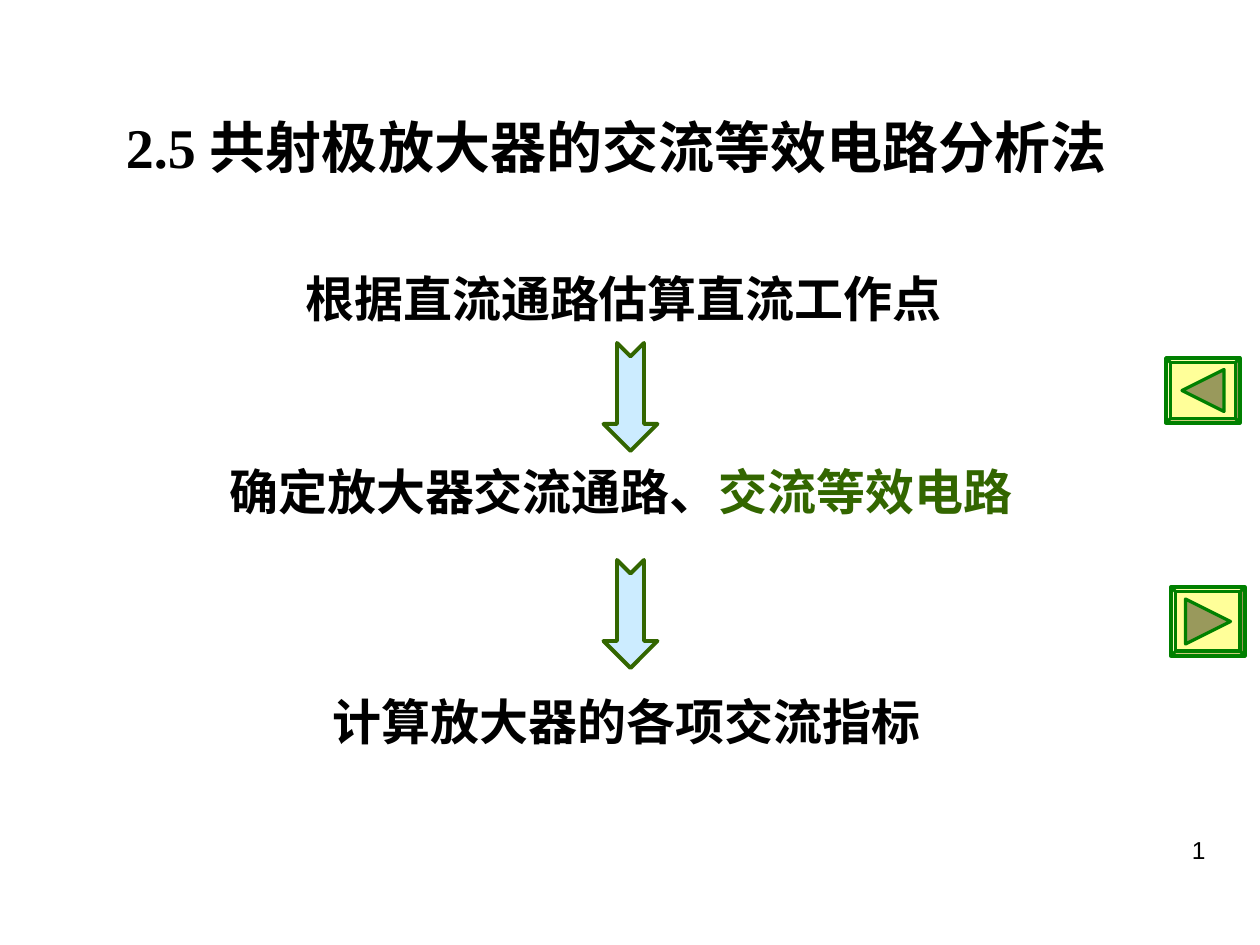
from pptx import Presentation
from pptx.dml.color import RGBColor
from pptx.enum.shapes import MSO_SHAPE
from pptx.enum.text import MSO_ANCHOR, MSO_AUTO_SIZE, PP_ALIGN
from pptx.util import Emu, Pt

EMU_PER_PX = 914400 / 126
BLACK = RGBColor(0x00, 0x00, 0x00)
DARK_GREEN = RGBColor(0x33, 0x66, 0x00)
PALE_BLUE = RGBColor(0xCC, 0xEC, 0xFF)
BUTTON_GREEN = RGBColor(0x00, 0x80, 0x00)
BUTTON_YELLOW = RGBColor(0xFF, 0xFF, 0x99)
BUTTON_OLIVE = RGBColor(0x99, 0x99, 0x5C)


def px(length):
    """Turn pixels into EMU."""
    return Emu(round(length * EMU_PER_PX))


def style_font(paragraph, name, size, bold=False):
    """Set the font that all runs of a paragraph share."""
    font = paragraph.font
    font.name, font.size, font.bold = name, Pt(size), bold
    font.color.rgb = BLACK


def add_outlined(page, kind, box, fill, line, weight, rotation=0):
    """Add a preset whose upright or quarter-turned outline fills the box."""
    left, top, width, height = box
    if rotation % 180:
        left, top = left + (width - height) / 2, top + (height - width) / 2
        width, height = height, width
    shape = page.shapes.add_shape(kind, px(left), px(top), px(width), px(height))
    shape.rotation = rotation
    shape.shadow.inherit = False
    shape.fill.solid()
    shape.fill.fore_color.rgb = fill
    shape.line.color.rgb = line
    shape.line.width = Pt(weight)
    return shape


def place_title(page, box, text):
    """Place and format the section title on one line."""
    title = page.shapes.title
    title.left, title.top, title.width, title.height = map(px, box)
    frame = title.text_frame
    frame.text = text
    frame.word_wrap = False
    frame.auto_size = MSO_AUTO_SIZE.NONE
    frame.vertical_anchor = MSO_ANCHOR.TOP
    frame.margin_left = frame.margin_right = 0
    paragraph = frame.paragraphs[0]
    paragraph.alignment = PP_ALIGN.CENTER
    paragraph.line_spacing = 1.3
    style_font(paragraph, "Times New Roman", 32, True)


def add_text(page, box, parts, alignment, name, size, bold=False):
    """Add one line of text made of (text, colour) parts."""
    frame = page.shapes.add_textbox(*map(px, box)).text_frame
    frame.word_wrap = True
    paragraph = frame.paragraphs[0]
    paragraph.alignment = alignment
    style_font(paragraph, name, size, bold)
    for text, colour in parts:
        span = paragraph.add_run()
        span.text = text
        if colour != BLACK:
            span.font.color.rgb = colour


def add_steps(page, box):
    """Add the three analysis steps and the arrows between them."""
    left, top, width, height = box
    center = left + width / 2
    steps = [
        (0, 675, [("根据直流通路估算直流工作点", BLACK)]),
        (193, 827, [("确定放大器交流通路、", BLACK), ("交流等效电路", DARK_GREEN)]),
        (423, 620, [("计算放大器的各项交流指标", BLACK)]),
    ]
    for offset, step_width, parts in steps:
        step_box = (center - step_width / 2, top + offset, step_width, 72)
        add_text(page, step_box, parts, PP_ALIGN.JUSTIFY, "Times New Roman", 28, True)
    for offset in (81, 298):
        add_outlined(page, MSO_SHAPE.NOTCHED_RIGHT_ARROW, (center - 27, top + offset, 54, 108),
                     PALE_BLUE, DARK_GREEN, 2.25, 90)


def add_button(page, box, rotation):
    """Add a bevelled navigation button with a triangle turned to its side."""
    left, top, width, height = box
    frame = add_outlined(page, MSO_SHAPE.BEVEL, box, BUTTON_YELLOW, BUTTON_GREEN, 1.87)
    frame.adjustments[0] = 0.07
    side = round(height * 0.65)
    triangle_box = (left + (width - side) / 2, top + (height - side) / 2, side, side)
    add_outlined(page, MSO_SHAPE.ISOSCELES_TRIANGLE, triangle_box,
                 BUTTON_OLIVE, BUTTON_GREEN, 1.87, rotation)


def main():
    """Build the slide and save it."""
    deck = Presentation()
    deck.slide_width, deck.slide_height = px(1260), px(945)
    page = deck.slides.add_slide(deck.slide_layouts[5])
    add_text(page, (903, 829, 315, 66), [("1", BLACK)], PP_ALIGN.RIGHT, "Arial", 14)
    place_title(page, (100, 86, 1033, 101), "2.5 共射极放大器的交流等效电路分析法")
    add_steps(page, (217, 262, 827, 495))
    add_button(page, (1166, 358, 74, 65), 270)
    add_button(page, (1171, 587, 74, 69), 90)
    deck.save("out.pptx")


if __name__ == "__main__":
    main()
